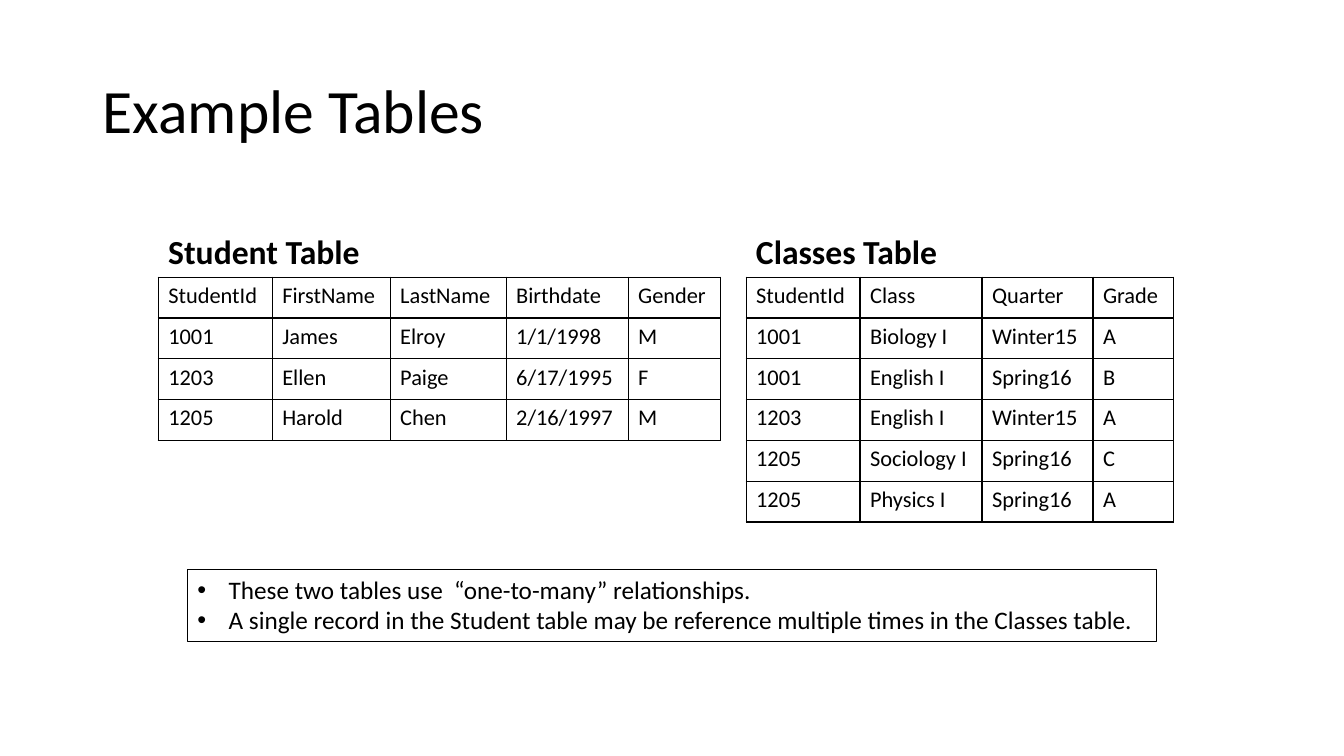
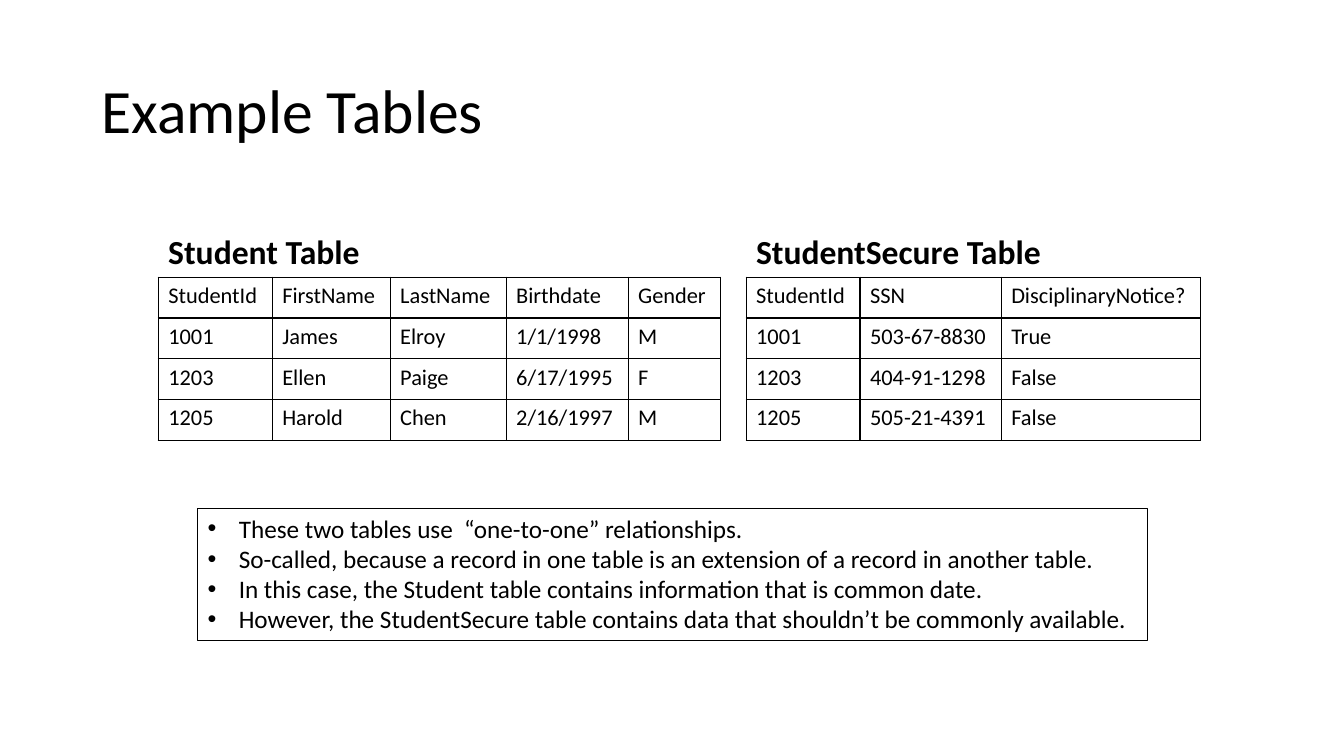
import pptx
import pptx.util
import pptx.dml.color
import pptx.enum.shapes
import pptx.enum.text
import pptx.oxml
import pptx.oxml.ns

Inches = pptx.util.Inches
Pt = pptx.util.Pt
Anchor = pptx.enum.text.MSO_ANCHOR
Align = pptx.enum.text.PP_ALIGN
qn = pptx.oxml.ns.qn

BLACK = pptx.dml.color.RGBColor(0x00, 0x00, 0x00)
FONT = "Calibri"
LEFT, RIGHT = 1.57, 7.4
ROW = Inches(1.62) // 4

# Records shown on the slides
STUDENTS = [
    ("StudentId", "FirstName", "LastName", "Birthdate", "Gender"),
    ("1001", "James", "Elroy", "1/1/1998", "M"),
    ("1203", "Ellen", "Paige", "6/17/1995", "F"),
    ("1205", "Harold", "Chen", "2/16/1997", "M"),
]
CLASSES = [
    ("StudentId", "Class", "Quarter", "Grade"),
    ("1001", "Biology I", "Winter15", "A"),
    ("1001", "English I", "Spring16", "B"),
    ("1203", "English I", "Winter15", "A"),
    ("1205", "Sociology I", "Spring16", "C"),
    ("1205", "Physics I", "Spring16", "A"),
]
SECURE = [
    ("StudentId", "SSN", "DisciplinaryNotice?"),
    ("1001", "503-67-8830", "True"),
    ("1203", "404-91-1298", "False"),
    ("1205", "505-21-4391", "False"),
]


class Deck:
    """Holds the shared style and the current slide."""

    def __init__(self):
        self.prs = pptx.Presentation()
        self.prs.slide_width = Inches(13.33)
        self.prs.slide_height = Inches(7.5)
        self.slide = None

    def style(self, para, size, bold=False):
        para.alignment = Align.LEFT
        for run in para.runs:
            run.font.name = FONT
            run.font.size = Pt(size)
            run.font.bold = bold
            run.font.color.rgb = BLACK

    def text(self, box, words, size, anchor, bold=False):
        shape = self.slide.shapes.add_textbox(*map(Inches, box))
        frame = shape.text_frame
        frame.word_wrap = True
        frame.vertical_anchor = anchor
        frame.text = words
        para = frame.paragraphs[0]
        para.line_spacing = 0.9
        self.style(para, size, bold)

    def page(self, title, left=0.92):
        self.slide = self.prs.slides.add_slide(self.prs.slide_layouts[6])
        self.text((left, 0.4, 11.5, 1.45), title, 44, Anchor.MIDDLE)

    def border(self, cell):
        props = cell._tc.get_or_add_tcPr()
        for index, side in enumerate(("lnL", "lnR", "lnT", "lnB")):
            line = pptx.oxml.parse_xml(
                f'<a:{side} {pptx.oxml.ns.nsdecls("a")} w="{Pt(1)}">'
                f'<a:solidFill><a:srgbClr val="{BLACK}"/></a:solidFill>'
                f'</a:{side}>')
            props.insert(index, line)

    def table(self, left, name, cols, data):
        """Draws a heading with its grid of records below."""
        width = round(sum(cols), 2)
        self.text((left, 1.85, width, 0.9), name, 24, Anchor.BOTTOM, True)
        grid = self.slide.shapes.add_table(
            len(data), len(cols), Inches(left), Inches(2.75),
            Inches(width), ROW * len(data)).table
        for col, size in zip(grid.columns, cols):
            col.width = Inches(size)
        for row, values in zip(grid.rows, data):
            row.height = ROW
            for cell, value in zip(row.cells, values):
                cell.text = value
                cell.fill.background()
                self.style(cell.text_frame.paragraphs[0], 16)
                self.border(cell)

    def notes(self, box, lines):
        """Draws an outlined box of bullet points."""
        shape = self.slide.shapes.add_shape(
            pptx.enum.shapes.MSO_SHAPE.RECTANGLE, *map(Inches, box))
        shape.shadow.inherit = False
        shape.fill.background()
        shape.line.color.rgb = BLACK
        shape.line.width = Pt(0.75)
        frame = shape.text_frame
        frame.word_wrap = True
        frame.vertical_anchor = Anchor.TOP
        frame.text = "\n".join(lines)
        for para in frame.paragraphs:
            self.style(para, 18)
            props = para._p.get_or_add_pPr()
            props.set("marL", str(Inches(0.31)))
            props.set("indent", str(-Inches(0.31)))
            font = props.makeelement(qn("a:buFont"), {"typeface": "Arial"})
            mark = props.makeelement(qn("a:buChar"), {"char": "•"})
            props.extend((font, mark))

    def students(self):
        self.table(LEFT, "Student Table", (1.13, 1.17, 1.15, 1.21, 0.92),
                   STUDENTS)


def main():
    deck = Deck()

    # One-to-many
    deck.page("Example Tables")
    deck.students()
    deck.table(RIGHT, "Classes Table", (1.13, 1.21, 1.1, 0.8), CLASSES)
    deck.notes((1.86, 5.65, 9.61, 0.71), [
        "These two tables use  “one-to-many” relationships.",
        "A single record in the Student table may be reference multiple "
        "times in the Classes table.",
    ])

    # One-to-one
    deck.page("Example Tables", 0.91)
    deck.students()
    deck.table(RIGHT, "StudentSecure Table", (1.13, 1.4, 1.98), SECURE)
    deck.notes((1.96, 5.04, 9.42, 1.31), [
        "These two tables use  “one-to-one” relationships.",
        "So-called, because a record in one table is an extension of a "
        "record in another table.",
        "In this case, the Student table contains information that is "
        "common date.",
        "However, the StudentSecure table contains data that shouldn’t be "
        "commonly available.",
    ])

    deck.prs.save("out.pptx")


if __name__ == "__main__":
    main()
